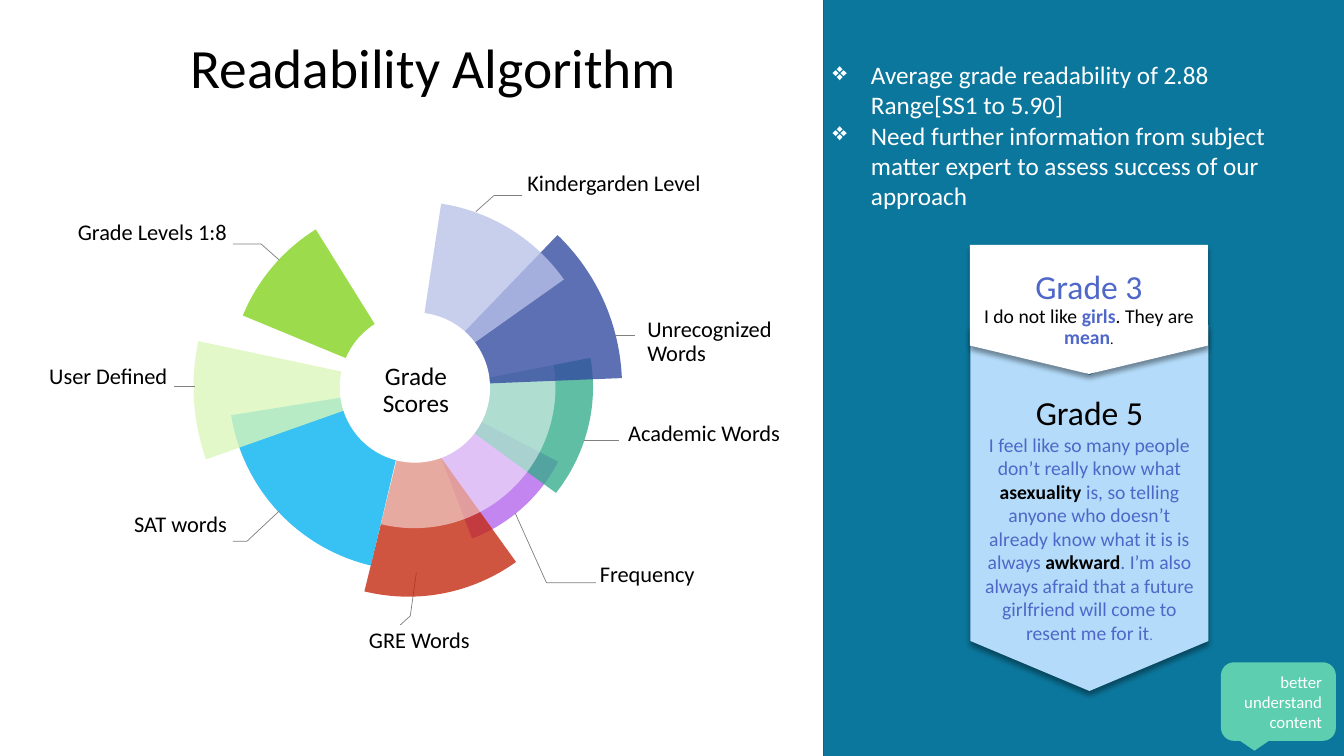
import pptx
import pptx.dml.color
import pptx.enum.shapes
import pptx.enum.text
import pptx.oxml.ns
import pptx.util
from lxml import etree

Inches = pptx.util.Inches
Pt = pptx.util.Pt
qn = pptx.oxml.ns.qn
Kind = pptx.enum.shapes.MSO_SHAPE
Align = pptx.enum.text.PP_ALIGN
Anchor = pptx.enum.text.MSO_ANCHOR
Fit = pptx.enum.text.MSO_AUTO_SIZE


def color(code):
    return pptx.dml.color.RGBColor.from_string(code)


class Board:
    """Draws styled elements on the current slide."""

    font = "Calibri"
    black, white, blue, gray = "000000", "FFFFFF", "4E67C8", "808080"

    def __init__(self, slide):
        self.slide = slide
        self.shapes = slide.shapes

    def shape(self, kind, box, fill, adj=(), turn=0, alpha=100, edge=None):
        item = self.shapes.add_shape(kind, *map(Inches, box))
        item.shadow.inherit = False
        item.rotation = turn
        for i, value in enumerate(adj):
            item.adjustments[i] = value
        item.fill.solid()
        item.fill.fore_color.rgb = color(fill)
        if alpha < 100:
            tint = item.element.spPr.find(".//" + qn("a:srgbClr"))
            etree.SubElement(tint, qn("a:alpha"), val=str(alpha * 1000))
        if edge:
            item.line.color.rgb = color(edge)
            item.line.width = Pt(1)
        else:
            item.line.fill.background()
        return item

    def pie(self, left, top, width, height, turn, start, end, fill):
        self.shape(Kind.PIE, (left, top, width, height), fill, (start, end), turn, 78)

    def leader(self, *points):
        spots = [(Inches(x), Inches(y)) for x, y in points]
        if len(spots) == 2:
            line = self.shapes.add_connector(
                pptx.enum.shapes.MSO_CONNECTOR.STRAIGHT, *spots[0], *spots[1])
            etree.SubElement(line.element.spPr, qn("a:effectLst"))
        else:
            pen = self.shapes.build_freeform(*spots[0])
            pen.add_line_segments(spots[1:], close=False)
            line = pen.convert_to_shape()
            line.fill.background()
            line.shadow.inherit = False
        line.line.color.rgb = color(self.gray)
        line.line.width = Pt(0.5)

    def fill_text(self, frame, paras, align=Align.LEFT, space=None):
        frame.word_wrap = True
        frame.text = "\n".join("" for _ in paras)
        for para, runs in zip(frame.paragraphs, paras):
            para.alignment = align
            if space:
                para.line_spacing = space
            for text, size, code, bold in runs:
                run = para.add_run()
                run.text = text
                run.font.name = self.font
                run.font.size = Pt(size)
                run.font.bold = bold
                run.font.color.rgb = color(code)

    def pad(self, frame, left, top, right, low):
        frame.margin_left, frame.margin_top = Inches(left), Inches(top)
        frame.margin_right, frame.margin_bottom = Inches(right), Inches(low)

    def text(self, box, lines, size, code=black, align=Align.LEFT, space=None):
        frame = self.shapes.add_textbox(*map(Inches, box)).text_frame
        self.fill_text(frame, [[(line, size, code, False)] for line in lines], align, space)
        return frame

    def label(self, left, top, width, height, align, *lines, size=16):
        frame = self.text((left, top, width, height), lines, size, align=align, space=0.89)
        self.pad(frame, 0, 0, 0, 0)
        frame.auto_size = Fit.SHAPE_TO_FIT_TEXT

    def bullets(self, box, lines, size):
        frame = self.text(box, lines, size, self.white)
        for para in frame.paragraphs:
            props = para._p.get_or_add_pPr()
            props.set("marL", str(Inches(0.38)))
            props.set("indent", str(-Inches(0.38)))
            etree.SubElement(props, qn("a:buChar"), char="❖")

    def arrow(self, kind, box, fill, adj, inset, anchor, paras):
        item = self.shape(kind, box, fill, [adj], 90)
        effect = item.element.spPr.find(qn("a:effectLst"))
        shade = etree.SubElement(effect, qn("a:outerShdw"), blurRad=str(Pt(4)),
                                 dist=str(Pt(3)), dir="5400000", rotWithShape="0")
        tint = etree.SubElement(shade, qn("a:srgbClr"), val=self.black)
        etree.SubElement(tint, qn("a:alpha"), val="40000")
        frame = item.text_frame
        self.fill_text(frame, paras, Align.CENTER)
        frame.vertical_anchor = anchor
        self.pad(frame, inset, 0.05, 0.1, 0.05)
        item.element.txBody.bodyPr.set("vert", "vert270")
        return frame


def main():
    deck = pptx.Presentation()
    deck.slide_width, deck.slide_height = Inches(13.33), Inches(7.5)
    board = Board(deck.slides.add_slide(deck.slide_layouts[6]))
    black, white, blue = board.black, board.white, board.blue

    board.shape(Kind.RECTANGLE, (8.17, -0.06, 5.21, 7.78), "0C779D", edge="3A4C94")

    board.pie(2.49, 2.22, 3.23, 3.23, 0, 16.52, 41.42, "B365ED")
    board.pie(2.39, 2.2, 3.5, 3.37, 158.1, 114.51, 142.85, "34AC8B")
    board.leader((4.13, 5.68), (4.07, 6.11), (3.97, 6.2))
    board.pie(2.22, 2.26, 3.66, 3.66, 8.7, 27.34, 57.03, "C3260C")
    board.shape(Kind.OVAL, (2.71, 2.44, 2.8, 2.8), white, alpha=50)
    for wedge in (
        (2.27, 2, 3.66, 3.66, 0, 121.48, 142.85, "81D31A"),
        (2.27, 2, 3.66, 3.66, 0, 61.99, 102.53, "00B0F0"),
        (2, 1.75, 4.17, 4.17, 334.2, 203.8, 14.1, "31489F"),
        (2.27, 2, 3.66, 3.66, 333.4, 183.17, 210.79, "B8C2E9"),
        (1.92, 1.67, 4.33, 4.33, 0, 96.3, 115.2, "DCF7BA"),
    ):
        board.pie(*wedge)
    board.shape(Kind.OVAL, (3.37, 3.1, 1.49, 1.49), white)

    for points in (
        ((4.72, 2.1), (4.9, 1.94), (5.18, 1.94)),
        ((5.11, 5.09), (5.42, 5.78), (5.91, 5.78)),
        ((2.77, 2.58), (2.59, 2.42), (2.31, 2.42)),
        ((2.77, 5.07), (2.45, 5.37), (2.31, 5.37)),
        ((6.1, 3.33), (6.3, 3.33)),
        ((1.73, 3.83), (1.93, 3.83)),
        ((5.79, 4.37), (6.14, 4.37)),
    ):
        board.leader(*points)

    for left, top, width, height, align, name in (
        (5.23, 1.71, 1.78, 0.24, Align.LEFT, "Kindergarden Level"),
        (6.42, 3.16, 1.78, 0.48, Align.LEFT, "Unrecognized Words"),
        (6.23, 4.19, 1.78, 0.24, Align.LEFT, "Academic Words"),
        (5.95, 5.59, 1.78, 0.24, Align.LEFT, "Frequency"),
        (3.59, 6.24, 1.07, 0.24, Align.RIGHT, "GRE Words"),
        (0.77, 5.09, 1.48, 0.24, Align.RIGHT, "SAT words"),
        (-0.12, 3.63, 1.78, 0.24, Align.RIGHT, "User Defined"),
        (0.47, 2.2, 1.78, 0.24, Align.RIGHT, "Grade Levels 1:8"),
    ):
        board.label(left, top, width, height, align, name)
    board.label(3.59, 3.61, 1.07, 0.54, Align.CENTER, "Grade", "Scores", size=18)

    title = board.text((1.79, 0.25, 8.5, 0.89), ["Readability Algorithm"], 39.6, space=0.9)
    title.vertical_anchor = Anchor.MIDDLE
    board.bullets((8.16, 0.54, 4.89, 2.52), [
        "Average grade readability of 2.88 Range[SS1 to 5.90]",
        "Need further information from subject matter expert to assess success of our approach",
    ], 18)

    board.arrow(Kind.CHEVRON, (8.99, 3.86, 3.63, 2.36), "B4DCFA", 0.21, 0.17, Anchor.TOP, [
        [("Grade 5", 24, black, False)],
        [("I feel like so many people don’t really know what ", 14, blue, False),
         ("asexuality", 14, black, True),
         (" is, so telling anyone who doesn’t already know what it is is always ", 14, blue, False),
         ("awkward", 14, black, True),
         (". I’m also always afraid that a future girlfriend will come to resent me for it",
          14, blue, False),
         (".", 10, blue, False)],
    ])
    third = board.arrow(Kind.PENTAGON, (10.16, 1.89, 1.28, 2.36), white, 0.22, 0.15, Anchor.MIDDLE, [
        [("Grade 3", 24, blue, False)],
        [("I do not like ", 14, black, False), ("girls", 14, blue, True),
         (". They are ", 14, black, False), ("mean", 14, blue, True),
         (".", 10, black, False)],
    ])
    third.paragraphs[1].line_spacing = 0.9

    note = board.shape(Kind.ROUNDED_RECTANGULAR_CALLOUT, (12.11, 6.57, 1.14, 0.78), "5DCEAF")
    board.fill_text(note.text_frame, [[("better understand content", 12, white, False)]], Align.RIGHT)
    note.text_frame.vertical_anchor = Anchor.BOTTOM

    deck.save("out.pptx")


if __name__ == "__main__":
    main()
